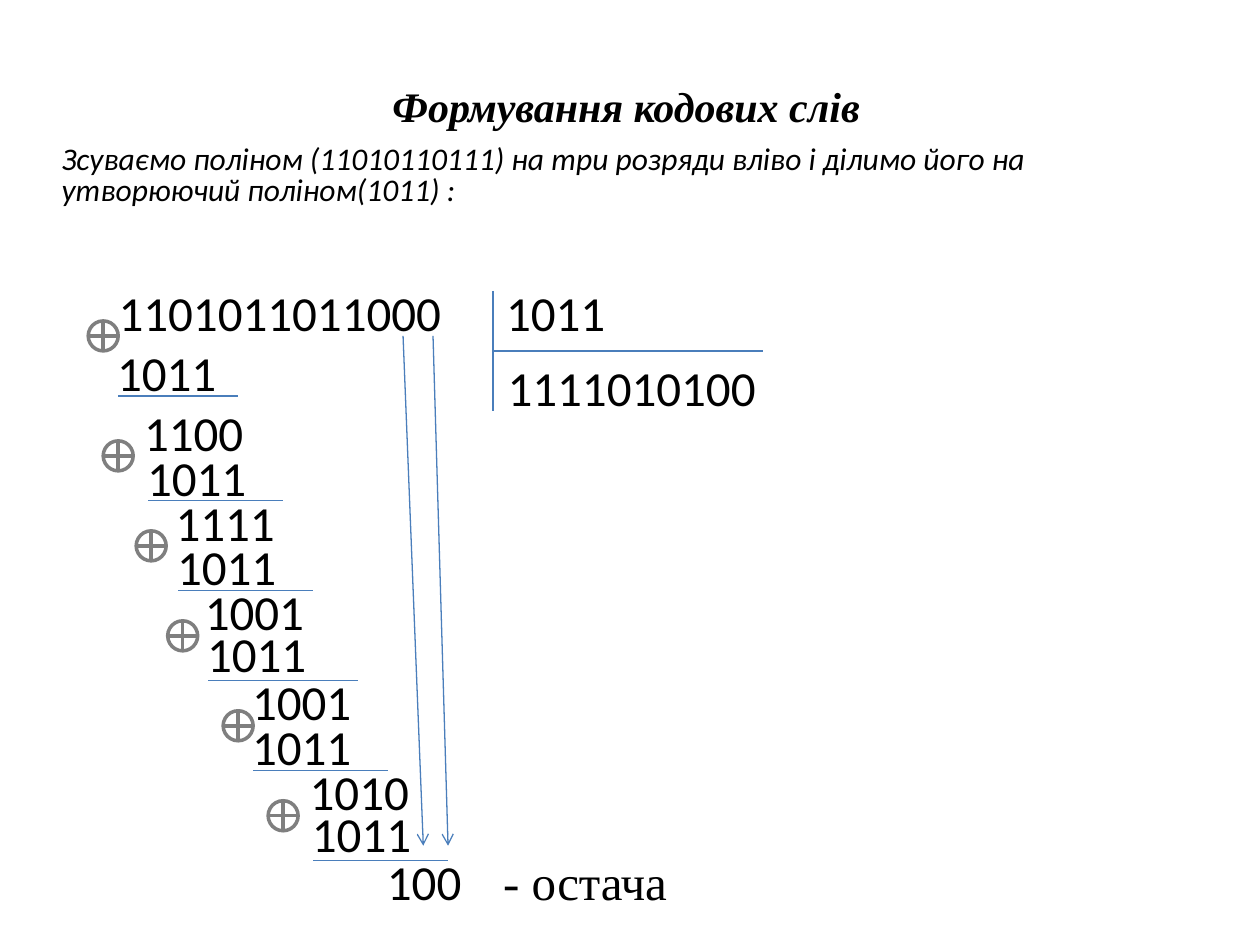
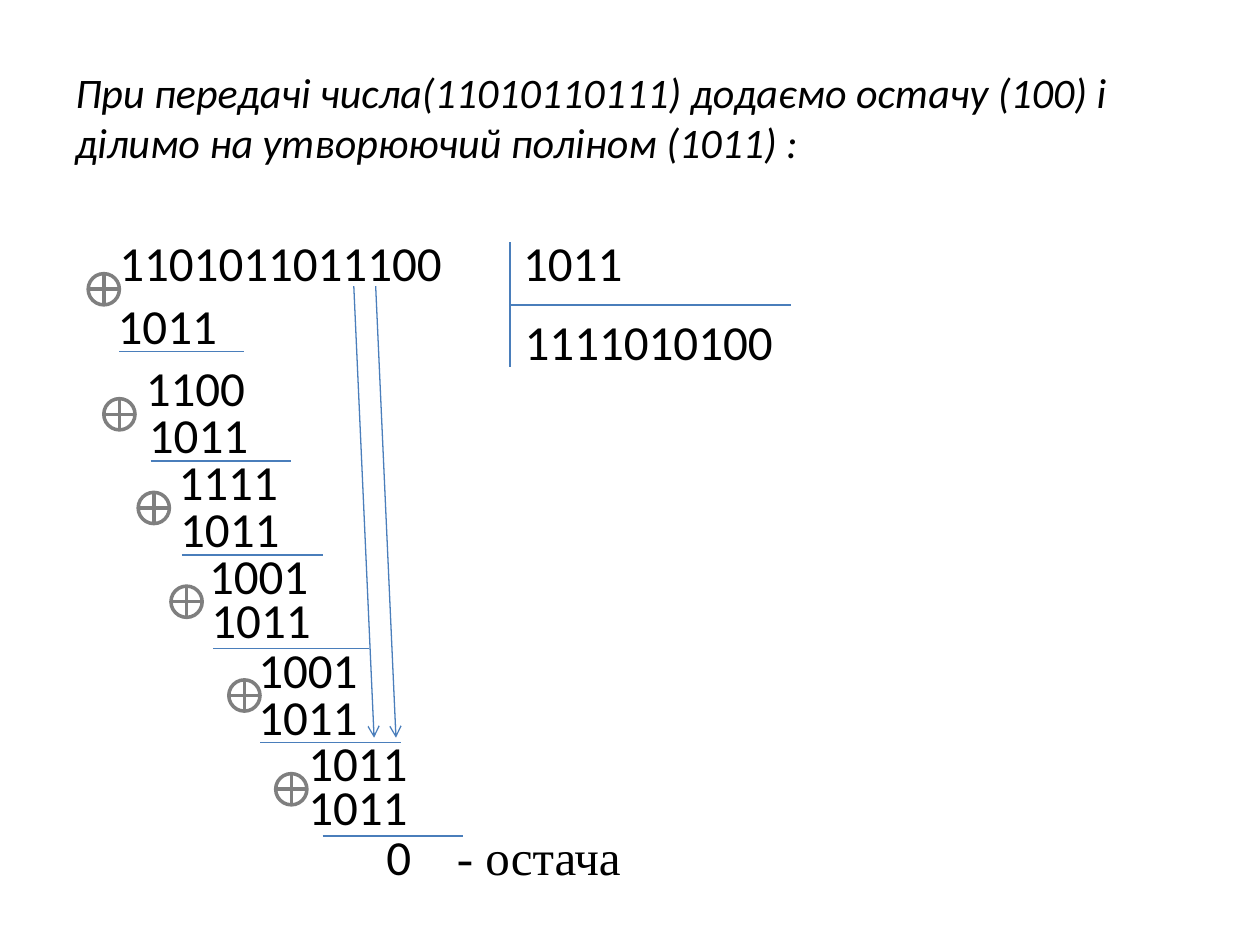
from lxml import etree
from pptx import Presentation
from pptx.dml.color import RGBColor
from pptx.enum.shapes import MSO_CONNECTOR, MSO_SHAPE
from pptx.enum.text import MSO_ANCHOR, PP_ALIGN
from pptx.oxml.ns import qn
from pptx.util import Inches, Pt

STRAIGHT = MSO_CONNECTOR.STRAIGHT
XOR_SIGN = MSO_SHAPE.FLOWCHART_OR
TOP, MIDDLE = MSO_ANCHOR.TOP, MSO_ANCHOR.MIDDLE
LEFT, CENTER = PP_ALIGN.LEFT, PP_ALIGN.CENTER

BLACK, WHITE, BLUE, GREY = "000000", "FFFFFF", "4A7EBB", "7F7F7F"
SANS, SERIF = "Calibri", "Times New Roman"
DIGITS = {"name": SANS, "size": Pt(28)}
REMAINDER_LABEL = {"name": SERIF, "size": Pt(28)}
DIGIT_WIDTH, LABEL_WIDTH, BOX_HEIGHT = 0.197, 1.5, 0.57

# Content: headings are (text, left, top, width, height, align, spacing, font)
# Division places are in grid units counted from the slide's origin
SLIDES = [
    {
        "headings": [
            ("Формування кодових слів", 0.47, 0.41, 9, 0.85, CENTER, 1,
             {"name": SERIF, "size": Pt(24), "bold": True, "italic": True}),
            ("Зсуваємо поліном (11010110111) на три розряди вліво і ділимо "
             "його на утворюючий поліном(1011) :", 0.39, 0.98, 9, 0.85,
             LEFT, 0.8, {"name": SANS, "size": Pt(18), "italic": True}),
        ],
        "origin": (0.7, 2.19), "unit": 0.119,
        "dividends": ["1101011011000", "1100", "1111", "1001", "1001", "1010"],
        "last_columns": (13.95, 14.1),
        "remainder": ("100", 19.1), "label_column": 26.85,
        "arrows": [(21, 4, 22.35, 38), (23, 4, 24, 38)],
    },
    {
        "headings": [
            ("При передачі числа(11010110111) додаємо остачу (100) і ділимо "
             "на утворюючий поліном (1011) :", 0.5, 0.3, 9, 1.25,
             LEFT, 1, {"name": SANS, "size": Pt(24), "italic": True}),
        ],
        "origin": (0.7, 1.8), "unit": 0.124,
        "dividends": ["1101011011100", "1100", "1111", "1001", "1001", "1011"],
        "last_columns": (13.3, 13.3),
        "remainder": ("0", 18.3), "label_column": 22.8,
        "arrows": [(17, 3.8, 18.3, 32.7), (18.4, 3.8, 19.7, 32.7)],
    },
]
DIVISOR, QUOTIENT, LABEL = "1011", "1111010100", "- остача"

# Steps of the division: columns of sign, dividend and rule, rule length,
# and row of the divisor under the dividend
STEPS = [
    (0, 1.2, 2, 8, 4),
    (1, 2.9, 4, 9, 11),
    (3.2, 5, 6, 9, 17),
    (5.3, 6.95, 8, 10, 22.8),
    (9, 10.1, 11, 9, 29),
    (12, None, 15, 9, 34.8),
]
STEP_ROWS, REMAINDER_ROW, CORNER = 6, 38, 27


def color(hex_code):
    return RGBColor.from_string(hex_code)


def add_text(page, text, left, top, width, height, font,
             align=LEFT, anchor=TOP, spacing=1, wrap=False):
    box = page.shapes.add_textbox(*map(Inches, (left, top, width, height)))
    frame = box.text_frame
    frame.word_wrap, frame.vertical_anchor = wrap, anchor
    para = frame.paragraphs[0]
    para.alignment, para.line_spacing = align, spacing
    span = para.add_run()
    span.text = text
    for name, value in font.items():
        setattr(span.font, name, value)
    span.font.color.rgb = color(BLACK)


class Division:
    """Draws the parts of a long division on a slide's grid."""

    def __init__(self, page, origin, unit):
        self.page, self.origin, self.unit = page, origin, unit

    def place(self, column, row):
        return (self.origin[0] + column * self.unit,
                self.origin[1] + row * self.unit)

    def number(self, text, column, row):
        width = 0.2 + DIGIT_WIDTH * len(text)
        add_text(self.page, text, *self.place(column, row), width, BOX_HEIGHT,
                 DIGITS)

    def line(self, column, row, end_column, end_row, arrow=False):
        ends = self.place(column, row) + self.place(end_column, end_row)
        line = self.page.shapes.add_connector(STRAIGHT, *map(Inches, ends))
        line.line.color.rgb = color(BLUE)
        line.line.width = Pt(0.75)
        if arrow:
            etree.SubElement(line.line._get_or_add_ln(), qn("a:tailEnd"),
                             type="arrow")
        etree.SubElement(line._element.spPr, qn("a:effectLst"))

    def sign(self, column, row):
        size = 2 * self.unit
        sign = self.page.shapes.add_shape(
            XOR_SIGN, *map(Inches, (*self.place(column, row), size, size)))
        sign.shadow.inherit = False
        sign.fill.solid()
        sign.fill.fore_color.rgb = color(WHITE)
        sign.line.color.rgb = color(GREY)
        sign.line.width = Pt(2)


def build_slide(deck, content):
    page = deck.slides.add_slide(deck.slide_layouts[6])
    for text, left, top, width, height, align, spacing, font in content["headings"]:
        add_text(page, text, left, top, width, height, font,
                 align, MIDDLE, spacing, wrap=True)
    division = Division(page, content["origin"], content["unit"])

    # Divisor and quotient corner
    division.line(CORNER, 1, CORNER, 9)
    division.line(CORNER, 5, CORNER + 18, 5)
    division.number(DIVISOR, CORNER + 0.05, 0)
    division.number(QUOTIENT, CORNER + 0.15, 5)

    # Staircase of subtractions
    for index, (dividend, step) in enumerate(zip(content["dividends"], STEPS)):
        sign_column, column, rule_column, rule_length, divisor_row = step
        divisor_column = rule_column - 0.9
        if column is None:
            column, divisor_column = content["last_columns"]
        row = index * STEP_ROWS + 2 if index else 0
        rule_row = row + 7 if index else 8
        division.sign(sign_column, row + 3)
        division.number(dividend, column, row)
        division.number(DIVISOR, divisor_column, divisor_row)
        division.line(rule_column, rule_row, rule_column + rule_length, rule_row)

    # Remainder and digits carried down
    division.number(*content["remainder"], REMAINDER_ROW)
    add_text(page, LABEL, *division.place(content["label_column"], REMAINDER_ROW),
             LABEL_WIDTH, BOX_HEIGHT, REMAINDER_LABEL)
    for arrow in content["arrows"]:
        division.line(*arrow, arrow=True)


def main():
    deck = Presentation()
    deck.slide_width, deck.slide_height = Inches(10), Inches(7.5)
    for content in SLIDES:
        build_slide(deck, content)
    deck.save("out.pptx")


if __name__ == "__main__":
    main()
